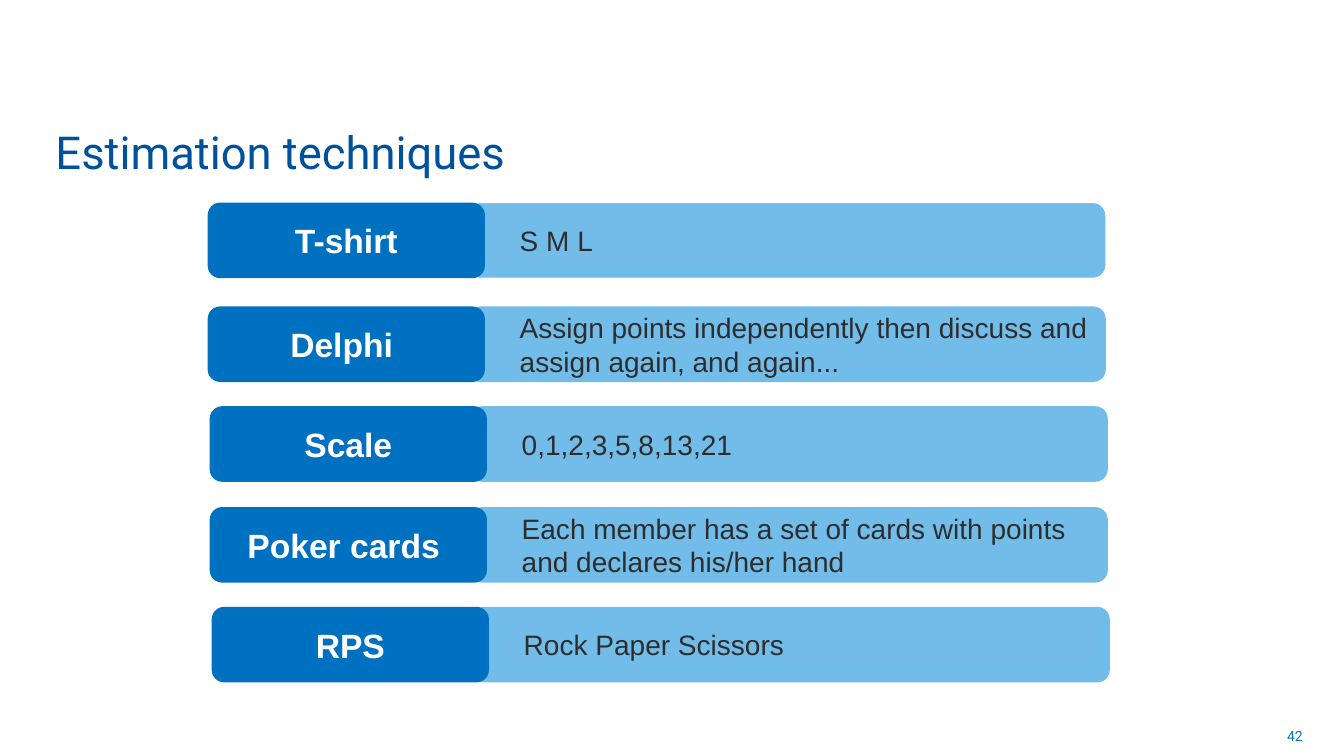
from dataclasses import dataclass

from pptx import Presentation
from pptx import util as u
from pptx.dml.color import RGBColor
from pptx.enum import shapes, text

# Colours
WHITE = RGBColor(0xFF, 0xFF, 0xFF)
TITLE_BLUE = RGBColor(0x00, 0x51, 0x9C)
LABEL_BLUE = RGBColor(0x00, 0x70, 0xC0)
BAR_BLUE = RGBColor(0x72, 0xBC, 0xE9)
INK = RGBColor(0x2E, 0x2D, 0x2C)

# Grid: the slide is 100 columns by 100 rows
SLIDE_WIDTH, SLIDE_HEIGHT = u.Inches(13.33), u.Inches(7.5)
ROW_HEIGHT = 10
LABEL_WIDTH = 20.63
BAR_OFFSET, BAR_WIDTH = 19.35, 47.48
BAR_INDENT = 3.6


@dataclass(frozen=True)
class Technique:
    name: str
    summary: str
    left: float
    top: float
    outlined: bool = False


TECHNIQUES = [
    Technique("T-shirt", "S M L", 15.45, 26.8, outlined=True),
    Technique("Delphi ", "Assign points independently then discuss and assign again, and again...",
              15.45, 40.53),
    Technique("Scale", "0,1,2,3,5,8,13,21", 15.6, 53.73),
    Technique("Poker cards ", "Each member has a set of cards with points and declares his/her hand",
              15.6, 67.07),
    Technique("RPS", "Rock Paper Scissors", 15.75, 80.27),
]


def cols(count: float) -> int:
    return round(SLIDE_WIDTH * count / 100)


def rows(count: float) -> int:
    return round(SLIDE_HEIGHT * count / 100)


def write(box, wording: str, size: float, font: str, colour: RGBColor,
          align=text.PP_ALIGN.LEFT, anchor=text.MSO_ANCHOR.MIDDLE, bold: bool = False) -> None:
    frame = box.text_frame
    frame.text = wording
    frame.word_wrap = True
    frame.auto_size = text.MSO_AUTO_SIZE.NONE
    frame.vertical_anchor = anchor
    paragraph = frame.paragraphs[0]
    paragraph.alignment = align
    for run in paragraph.runs:
        run.font.size, run.font.name, run.font.bold = u.Pt(size), font, bold
        run.font.color.rgb = colour


def add_panel(group, left: float, top: float, width: float, fill: RGBColor):
    panel = group.shapes.add_shape(shapes.MSO_SHAPE.ROUNDED_RECTANGLE,
                                   cols(left), rows(top), cols(width), rows(ROW_HEIGHT))
    panel.shadow.inherit = False
    panel.fill.solid()
    panel.fill.fore_color.rgb = fill
    panel.line.fill.background()
    return panel


def add_technique(slide, technique: Technique) -> None:
    group = slide.shapes.add_group_shape()
    # Description bar, tucked under the label
    summary = add_panel(group, technique.left + BAR_OFFSET, technique.top, BAR_WIDTH, BAR_BLUE)
    summary.text_frame.margin_left = cols(BAR_INDENT)
    write(summary, technique.summary, 20, "Arial", INK)
    if technique.outlined:
        summary.line.color.rgb = WHITE
        summary.line.width = u.Pt(0.75)
    # Label
    name = add_panel(group, technique.left, technique.top, LABEL_WIDTH, LABEL_BLUE)
    write(name, technique.name, 24, "Arial", WHITE, align=text.PP_ALIGN.CENTER, bold=True)


def main() -> None:
    deck = Presentation()
    deck.slide_width, deck.slide_height = SLIDE_WIDTH, SLIDE_HEIGHT
    slide = deck.slides.add_slide(deck.slide_layouts[5])

    # Title
    title = slide.shapes.title
    title.left, title.top, title.width, title.height = cols(3.38), rows(15.07), cols(74.87), rows(9.2)
    write(title, "Estimation techniques", 32.4, "Roboto", TITLE_BLUE, anchor=text.MSO_ANCHOR.BOTTOM)

    # Techniques
    for technique in TECHNIQUES:
        add_technique(slide, technique)

    # Page number
    page_number = slide.shapes.add_textbox(cols(74.34), rows(94.67), cols(23.33), rows(5.33))
    write(page_number, "42", 10, "Roboto", LABEL_BLUE, align=text.PP_ALIGN.RIGHT)

    deck.save("out.pptx")


if __name__ == "__main__":
    main()
